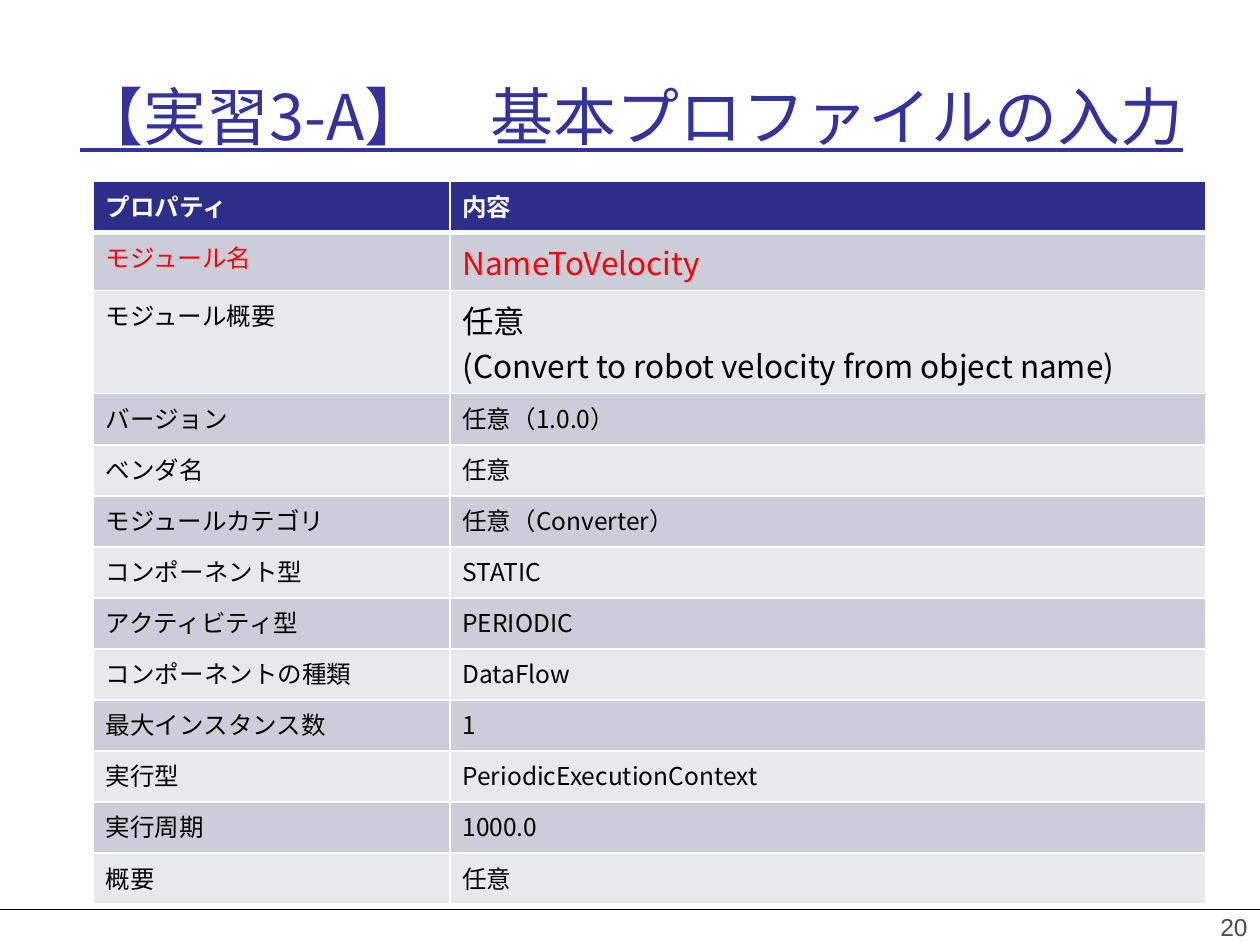
"""Build the basic profile slide: a title, a property table and a page number."""
from dataclasses import dataclass

from lxml.etree import SubElement
from pptx import Presentation
from pptx.dml.color import RGBColor as Rgb
from pptx.enum.shapes import MSO_CONNECTOR as Conn
from pptx.enum.text import MSO_ANCHOR as Anchor, PP_ALIGN as Align
from pptx.oxml.ns import qn
from pptx.util import Inches, Pt

HUES = {
    "title": "333399", "head": "2D2D8A", "odd": "CDCDDA", "even": "E8E8ED",
    "white": "FFFFFF", "black": "000000", "red": "FF0000", "page": "4D4D4D",
}
FONT = "Noto Sans CJK JP"


@dataclass
class Item:
    name: str
    value: str
    size: int = 14
    hue: str = "black"
    bold: bool = False
    tall: float = 0


ITEMS = [
    Item("プロパティ", "内容", hue="white", bold=True),
    Item("モジュール名", "NameToVelocity", 18, "red", tall=0.46),
    Item("モジュール概要", "任意\n(Convert to robot velocity from object name)", 18,
         tall=0.82),
    Item("バージョン", "任意（1.0.0）"),
    Item("ベンダ名", "任意"),
    Item("モジュールカテゴリ", "任意（Converter）"),
    Item("コンポーネント型", "STATIC"),
    Item("アクティビティ型", "PERIODIC"),
    Item("コンポーネントの種類", "DataFlow"),
    Item("最大インスタンス数", "1"),
    Item("実行型", "PeriodicExecutionContext"),
    Item("実行周期", "1000.0"),
    Item("概要", "任意"),
]


def color(key: str) -> Rgb:
    return Rgb.from_string(HUES[key])


def write(frame, text: str, size: int, hue: str, face: str = FONT,
          bold: bool = False, line: bool = False, align=Align.LEFT) -> None:
    frame.text = text
    for para in frame.paragraphs:
        para.alignment = align
        for run in para.runs:
            font = run.font
            font.size, font.name = Pt(size), face
            font.bold, font.underline = bold, line
            font.color.rgb = color(hue)
            SubElement(font._element, qn("a:ea"), typeface=face)


def edge(cell, top: int = 1, base: int = 1) -> None:
    props = cell._tc.get_or_add_tcPr()
    for side, width in zip("LRTB", (1, 1, top, base)):
        rule = SubElement(props, qn(f"a:ln{side}"), w=str(Pt(width)))
        fill = SubElement(rule, qn("a:solidFill"))
        SubElement(fill, qn("a:srgbClr"), val=HUES["white"])


def add_rule(slide) -> None:
    y = Inches(7.22)
    rule = slide.shapes.add_connector(Conn.STRAIGHT, 0, y, Inches(10), y)
    rule.line.color.rgb = color("black")
    rule.line.width = Pt(0.75)
    SubElement(rule._element.spPr, qn("a:effectLst"))


def add_page(slide) -> None:
    box = slide.shapes.add_textbox(
        Inches(7.67), Inches(7.19), Inches(2.33), Inches(0.55))
    box.text_frame.word_wrap = True
    write(box.text_frame, "20", 14, "page", "Arial", align=Align.RIGHT)


def add_title(slide) -> None:
    title = slide.shapes.title
    title.left, title.top = Inches(0.2), Inches(0.44)
    title.width, title.height = Inches(9.63), Inches(0.95)
    title.text_frame.vertical_anchor = Anchor.MIDDLE
    write(title.text_frame, "【実習3-A】　基本プロファイルの入力", 36, "title",
          line=True, align=Align.CENTER)


def add_grid(slide, items: list[Item]) -> None:
    grid = slide.shapes.add_table(
        len(items), 2, Inches(0.74), Inches(1.44),
        Inches(8.83), Inches(5.27)).table
    for col, width in zip(grid.columns, (2.83, 6)):
        col.width = Inches(width)
    for row, item in enumerate(items):
        if item.tall:
            grid.rows[row].height = Inches(item.tall)
        tone = "head" if row == 0 else "odd" if row % 2 else "even"
        for col, text in enumerate((item.name, item.value)):
            cell = grid.cell(row, col)
            size = item.size if col else 14
            write(cell.text_frame, text, size, item.hue, bold=item.bold)
            edge(cell, 3 if row == 1 else 1, 3 if row == 0 else 1)
            cell.fill.solid()
            cell.fill.fore_color.rgb = color(tone)


def main() -> None:
    deck = Presentation()
    deck.slide_width, deck.slide_height = Inches(10), Inches(7.5)
    slide = deck.slides.add_slide(deck.slide_layouts[5])
    add_rule(slide)
    add_page(slide)
    add_title(slide)
    add_grid(slide, ITEMS)
    deck.save("out.pptx")


if __name__ == "__main__":
    main()
